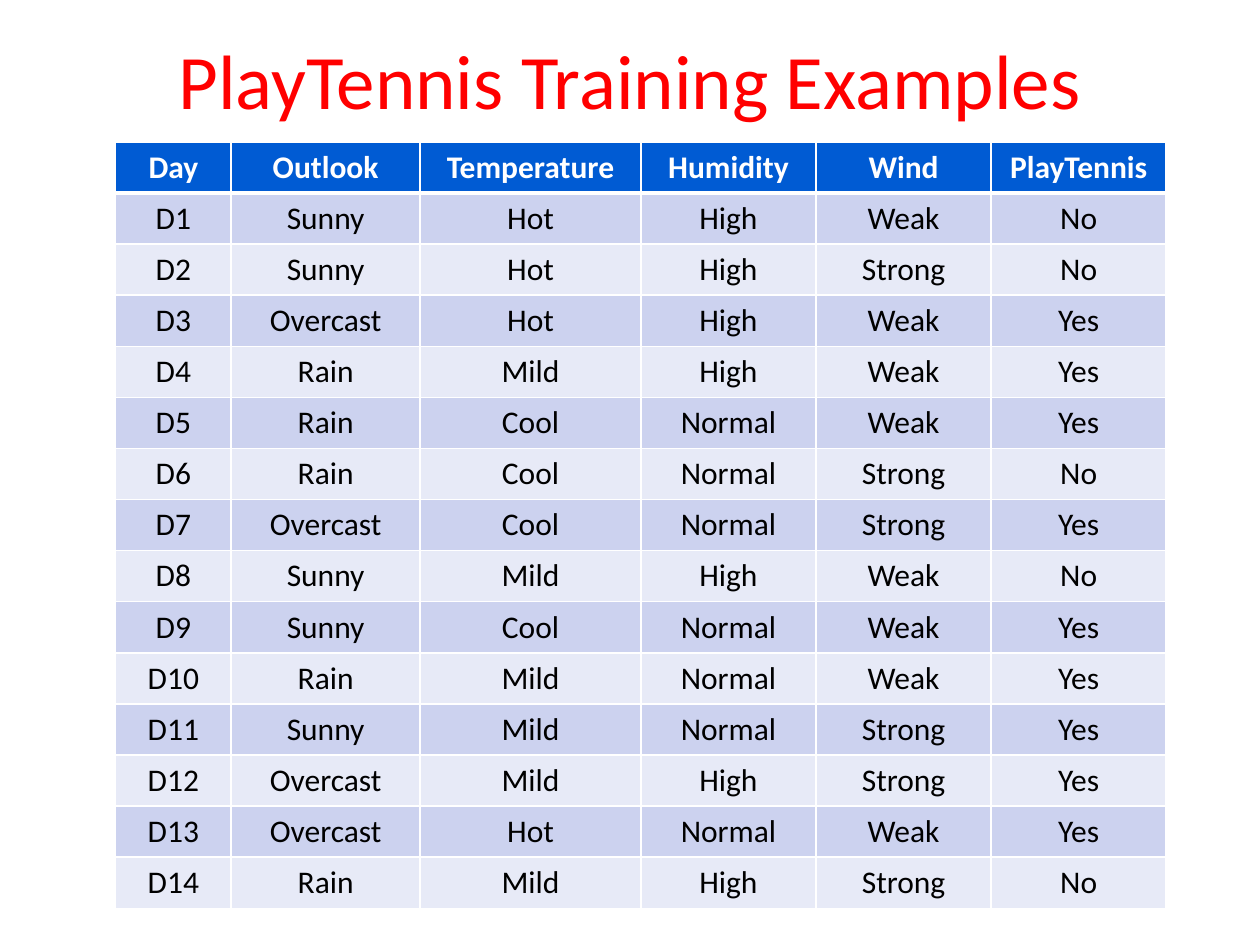
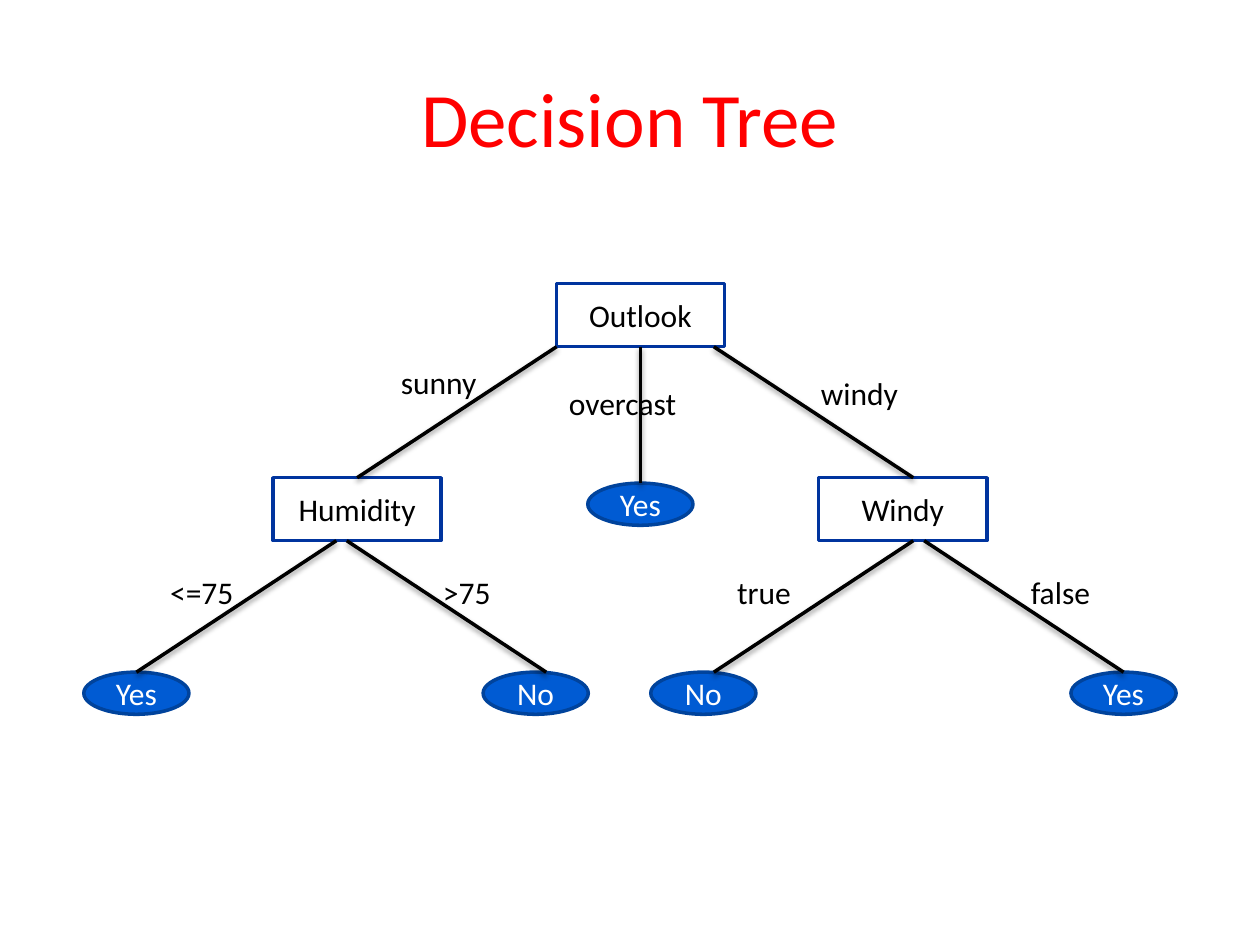
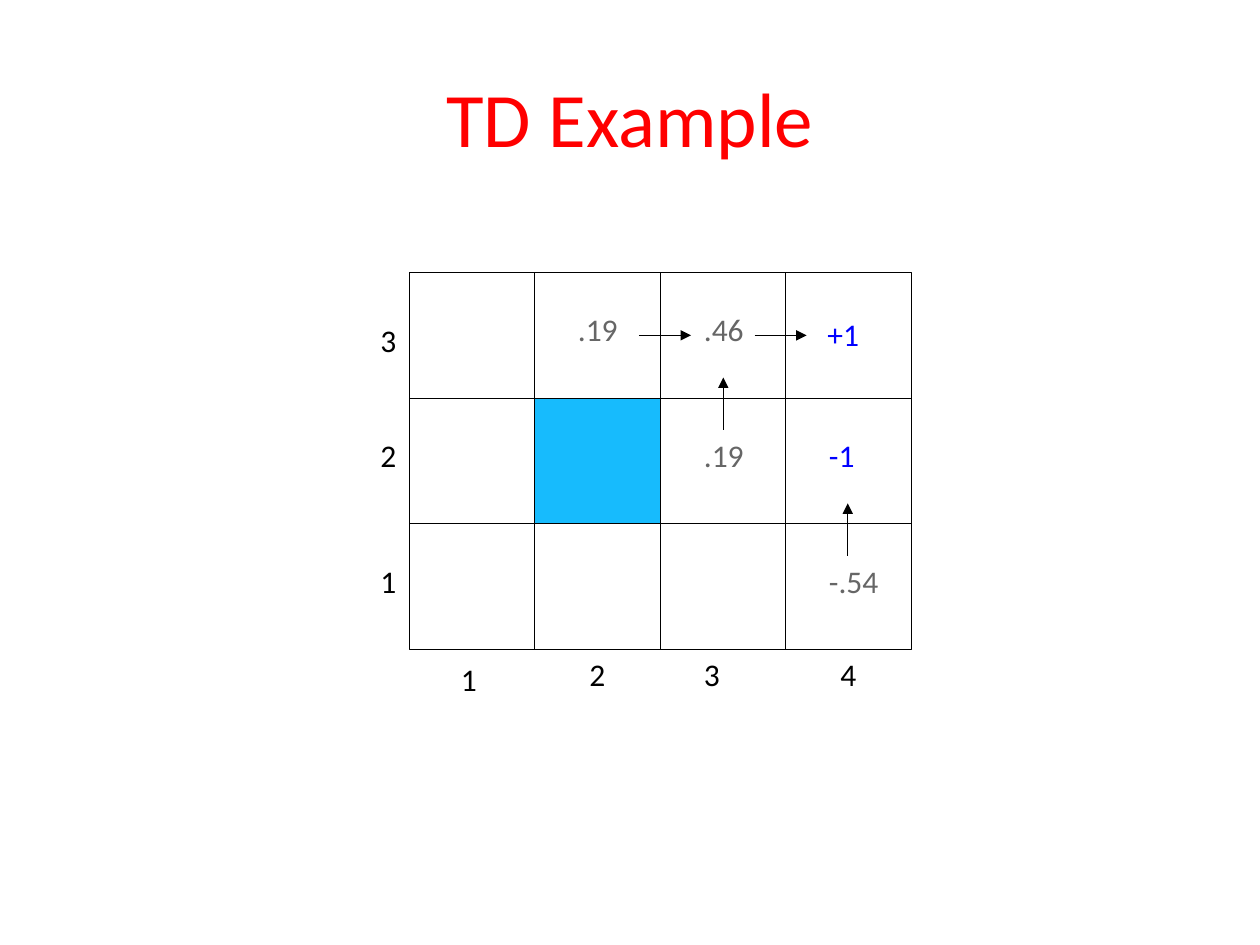
"""Build three slides on decision trees and temporal-difference learning."""
from lxml import etree
from pptx import Presentation
from pptx import util as u
from pptx.dml import color
from pptx.enum import shapes, text
from pptx.oxml import ns

BLACK, WHITE, RED, BLUE, GREY = "000000", "FFFFFF", "FF0000", "0000FF", "666666"
LEAF, LEAF_EDGE, NODE_EDGE, WALL = "005BD3", "00439C", "00349E", "17BBFD"
BANDS = ("E7EAF7", "CCD2EF")
BODY = {"name": "Calibri", "size": u.Pt(18), "bold": False}
HEAD = {**BODY, "bold": True}
TITLE = {**BODY, "size": u.Pt(44)}

EXAMPLES = [
    ("Day", "Outlook", "Temperature", "Humidity", "Wind", "PlayTennis"),
    ("D1", "Sunny", "Hot", "High", "Weak", "No"),
    ("D2", "Sunny", "Hot", "High", "Strong", "No"),
    ("D3", "Overcast", "Hot", "High", "Weak", "Yes"),
    ("D4", "Rain", "Mild", "High", "Weak", "Yes"),
    ("D5", "Rain", "Cool", "Normal", "Weak", "Yes"),
    ("D6", "Rain", "Cool", "Normal", "Strong", "No"),
    ("D7", "Overcast", "Cool", "Normal", "Strong", "Yes"),
    ("D8", "Sunny", "Mild", "High", "Weak", "No"),
    ("D9", "Sunny", "Cool", "Normal", "Weak", "Yes"),
    ("D10", "Rain", "Mild", "Normal", "Weak", "Yes"),
    ("D11", "Sunny", "Mild", "Normal", "Strong", "Yes"),
    ("D12", "Overcast", "Mild", "High", "Strong", "Yes"),
    ("D13", "Overcast", "Hot", "Normal", "Weak", "Yes"),
    ("D14", "Rain", "Mild", "High", "Strong", "No"),
]
COLUMNS = (2.33, 3.81, 4.45, 3.53, 3.53, 3.53)
ROW = 1.03

# key: (text, centre x, top)
TESTS = {
    "outlook": ("Outlook", 12.91, 5.72),
    "humidity": ("Humidity", 7.2, 9.63),
    "windy": ("Windy", 18.2, 9.63),
}
LEAVES = {
    "overcast": ("Yes", 12.91, 9.74),
    "dry": ("Yes", 2.75, 13.55),
    "humid": ("No", 10.8, 13.55),
    "gusty": ("No", 14.18, 13.55),
    "calm": ("Yes", 22.65, 13.55),
}
# parent, offset from its centre, child, offset from its centre
BRANCHES = [
    ("outlook", -1.69, "humidity", 0),
    ("outlook", 1.48, "windy", 0.21),
    ("outlook", 0, "overcast", 0),
    ("humidity", -0.42, "dry", 0),
    ("humidity", -0.21, "humid", 0.21),
    ("windy", 0.21, "gusty", 0.21),
    ("windy", 0.43, "calm", 0),
]
# text, left, top, width
CONDITIONS = [
    ("sunny", 7.83, 7.2, 2.06), ("windy", 16.3, 7.41, 2.08),
    ("overcast", 11.22, 7.62, 2.69), ("<=75", 3.18, 11.43, 1.8),
    (">75", 8.68, 11.43, 1.47), ("true", 14.61, 11.43, 1.6),
    ("false", 20.53, 11.43, 1.73),
]

GRID_X, GRID_Y, CELL, N_COLS, N_ROWS = 8.25, 5.5, 2.53, 4, 3
AXES = [
    ("1", 9.04, 13.18, 0.86), ("2", 11.63, 13.08, 0.86),
    ("3", 13.94, 13.08, 0.86), ("4", 16.69, 13.08, 0.86),
    ("1", 7.42, 11.2, 0.86), ("2", 7.42, 8.66, 0.86), ("3", 7.42, 6.35, 0.86),
]
REWARDS = [("+1", 16.43, 6.22, 1.24), ("-1", 16.46, 8.66, 1.07)]
VALUES = [
    (".46", 13.94, 6.12, 1.4), ("-.54", 16.46, 11.2, 1.6),
    (".19", 11.4, 6.12, 1.4), (".19", 13.94, 8.66, 1.4),
]
# start x, start y, step x, step y
MOVES = [
    (15.21, 6.76, 1.05, 0), (12.88, 6.76, 1.05, 0),
    (17.09, 11.2, 0, -1.05), (14.58, 8.66, 0, -1.05),
]


def rgb(value):
    return color.RGBColor.from_string(value)


def cm(*values):
    return [u.Cm(v) for v in values]


def write(tf, words, fmt, hue, align=text.PP_ALIGN.CENTER):
    p = tf.paragraphs[0]
    p.alignment = align
    r = p.add_run()
    r.text = words
    for key, value in fmt.items():
        setattr(r.font, key, value)
    r.font.color.rgb = rgb(hue)


def add_slide(prs, title, top):
    s = prs.slides.add_slide(prs.slide_layouts[5])
    sp = s.shapes.title
    sp.left, sp.top, sp.width, sp.height = cm(1.27, top, 22.86, 3.18)
    sp.text_frame.vertical_anchor = text.MSO_ANCHOR.MIDDLE
    write(sp.text_frame, title, TITLE, RED)
    return s


def add_box(parent, kind, box, fill, edge, weight):
    sp = parent.add_shape(kind, *cm(*box))
    sp.shadow.inherit = False
    if fill:
        sp.fill.solid()
        sp.fill.fore_color.rgb = rgb(fill)
    else:
        sp.fill.background()
    sp.line.color.rgb = rgb(edge)
    sp.line.width = u.Pt(weight)
    return sp


def add_line(parent, x1, y1, x2, y2, weight, shadow=False, arrow=False):
    ln = parent.add_connector(shapes.MSO_CONNECTOR.STRAIGHT, *cm(x1, y1, x2, y2))
    ln.line.color.rgb = rgb(BLACK)
    ln.line.width = u.Pt(weight)
    if arrow:
        etree.SubElement(ln.line._get_or_add_ln(), ns.qn("a:tailEnd"), type="triangle")
    effects = etree.SubElement(ln._element.spPr, ns.qn("a:effectLst"))
    if shadow:
        outer = etree.SubElement(effects, ns.qn("a:outerShdw"), blurRad="40000",
                                 dist="20000", dir="5400000", rotWithShape="0")
        hue = etree.SubElement(outer, ns.qn("a:srgbClr"), val=BLACK)
        etree.SubElement(hue, ns.qn("a:alpha"), val="38000")
    return ln


def add_labels(parent, labels, hue=BLACK):
    for words, x, y, w in labels:
        tf = parent.add_textbox(*cm(x, y, w, 1.03)).text_frame
        tf.word_wrap = False
        tf.auto_size = text.MSO_AUTO_SIZE.SHAPE_TO_FIT_TEXT
        write(tf, words, BODY, hue, text.PP_ALIGN.LEFT)


def set_borders(cell, **weights):
    tc_pr = cell._tc.get_or_add_tcPr()
    for i, side in enumerate("LRTB"):
        ln = etree.Element(ns.qn(f"a:ln{side}"), w=str(u.Pt(weights.get(side, 1))))
        fill = etree.SubElement(ln, ns.qn("a:solidFill"))
        etree.SubElement(fill, ns.qn("a:srgbClr"), val=WHITE)
        tc_pr.insert(i, ln)


def examples_slide(prs):
    s = add_slide(prs, "PlayTennis Training Examples", 0)
    n = len(EXAMPLES)
    box = cm(2.33, 2.86, sum(COLUMNS), n * ROW)
    table = s.shapes.add_table(n, len(COLUMNS), *box).table
    for col, width in zip(table.columns, COLUMNS):
        col.width = u.Cm(width)
    for i, record in enumerate(EXAMPLES):
        table.rows[i].height = u.Cm(ROW)
        fill, fmt, hue = (BANDS[i % 2], BODY, BLACK) if i else (LEAF, HEAD, WHITE)
        for j, words in enumerate(record):
            cell = table.cell(i, j)
            cell.vertical_anchor = text.MSO_ANCHOR.MIDDLE
            cell.fill.solid()
            cell.fill.fore_color.rgb = rgb(fill)
            set_borders(cell, T=3 if i == 1 else 1, B=1 if i else 3)
            write(cell.text_frame, words, fmt, hue)


def tree_slide(prs):
    s = add_slide(prs, "Decision Tree", 0.76)
    kinds = [
        (TESTS, shapes.MSO_SHAPE.RECTANGLE, 3.39, 1.27, WHITE, NODE_EDGE, BLACK),
        (LEAVES, shapes.MSO_SHAPE.OVAL, 2.12, 0.85, LEAF, LEAF_EDGE, WHITE),
    ]
    nodes = {}
    for group, kind, w, h, fill, edge, hue in kinds:
        for key, (words, x, y) in group.items():
            sp = add_box(s.shapes, kind, (x - w / 2, y, w, h), fill, edge, 2)
            sp.text_frame.vertical_anchor = text.MSO_ANCHOR.MIDDLE
            write(sp.text_frame, words, BODY, hue)
            nodes[key] = sp, x, y, y + h
    for parent, dx1, child, dx2 in BRANCHES:
        sp1, x1, _, bottom = nodes[parent]
        sp2, x2, top, _ = nodes[child]
        ln = add_line(s.shapes, x1 + dx1, bottom, x2 + dx2, top, 2, shadow=True)
        if not dx1:
            ln.begin_connect(sp1, 2)
        if not dx2:
            ln.end_connect(sp2, 0)
    add_labels(s.shapes, CONDITIONS)


def grid_slide(prs):
    s = add_slide(prs, "TD Example", 0.76)
    group = s.shapes.add_group_shape().shapes
    rect = shapes.MSO_SHAPE.RECTANGLE
    w, h = N_COLS * CELL, N_ROWS * CELL
    add_box(group, rect, (GRID_X, GRID_Y, w, h), None, BLACK, 0.75)
    for i in range(1, N_COLS):
        x = GRID_X + i * CELL
        add_line(group, x, GRID_Y, x, GRID_Y + h, 0.75)
    for i in range(1, N_ROWS):
        y = GRID_Y + i * CELL
        add_line(group, GRID_X, y, GRID_X + w, y, 0.75)
    add_box(group, rect, (GRID_X + CELL, GRID_Y + CELL, CELL, CELL), WALL, BLACK, 0.75)
    for labels, hue in ((AXES, BLACK), (REWARDS, BLUE), (VALUES, GREY)):
        add_labels(group, labels, hue)
    for x, y, dx, dy in MOVES:
        add_line(group, x, y, x + dx, y + dy, 0.75, arrow=True)


def main():
    prs = Presentation()
    prs.slide_width, prs.slide_height = cm(25.4, 19.05)
    for build in (examples_slide, tree_slide, grid_slide):
        build(prs)
    prs.save("out.pptx")


if __name__ == "__main__":
    main()
